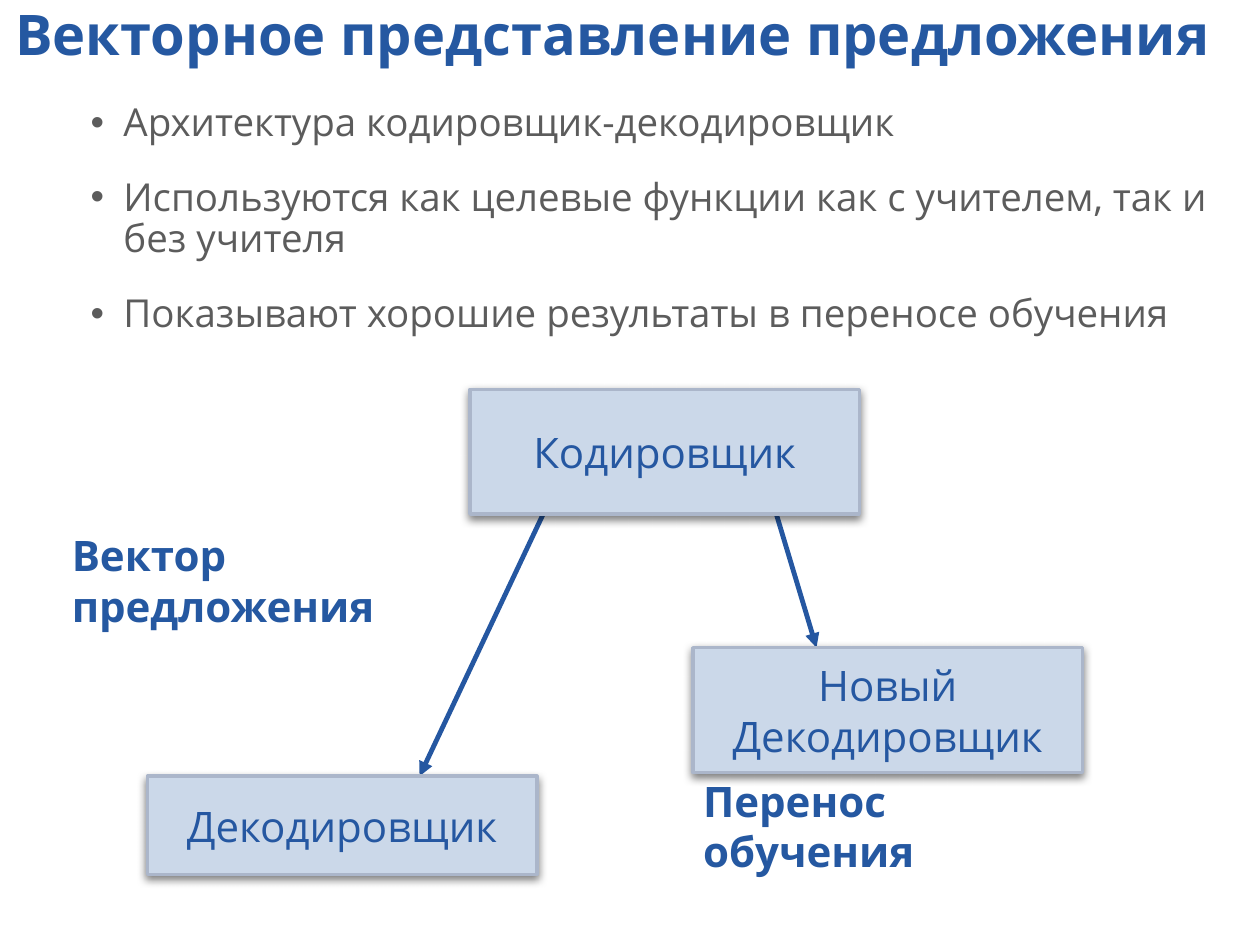
from lxml import etree
from pptx import Presentation
from pptx import util as u
from pptx.dml.color import RGBColor
from pptx.enum import shapes, text
from pptx.oxml.ns import qn

TITLE = "Векторное представление предложения"
BULLETS = [
    "Архитектура кодировщик-декодировщик",
    "Используются как целевые функции как с учителем, так и без учителя",
    "Показывают хорошие результаты в переносе обучения",
]
BLOCKS = [
    ("Кодировщик", 3.73, 3.09, 0.99),
    ("Декодировщик", 1.17, 6.16, 0.78),
    ("Новый Декодировщик", 5.5, 5.14, 0.99),
]
BLOCK_WIDTH = 3.09
ARROWS = [((4.33, 4.04), (3.33, 6.16)), ((6.08, 3.81), (6.48, 5.14))]
LABELS = [
    ("Вектор предложения", (0.54, 4.41, 3.43, 0.39)),
    ("Перенос обучения", (5.55, 6.36, 2.99, 0.39)),
]
THEME = {
    "font": "Open Sans",
    "title": "2558A1", "accent": "2557A1", "body": "5C5C5C",
    "fill": "CBD8E9", "border": "ABB6CA", "shadow": "000000",
    "title_size": 32, "body_size": 22, "block_size": 24,
}


def color(name):
    return RGBColor.from_string(THEME[name])


def add_xml(parent, tag, **attributes):
    return etree.SubElement(parent, qn(tag), attributes)


def set_frame(frame, inset, anchor):
    frame.word_wrap = True
    frame.auto_size = text.MSO_AUTO_SIZE.NONE
    frame.vertical_anchor = anchor
    frame.margin_left = frame.margin_right = u.Inches(inset)
    frame.margin_top = frame.margin_bottom = u.Inches(inset)


def format_text(frame, size, tone, bold=False, align=text.PP_ALIGN.LEFT):
    for paragraph in frame.paragraphs:
        paragraph.alignment = align
        for span in paragraph.runs:
            span.font.name = THEME["font"]
            span.font.size = u.Pt(THEME[size])
            span.font.bold = bold
            span.font.color.rgb = color(tone)


def add_arrow(page, start, end):
    points = [u.Inches(value) for value in start + end]
    arrow = page.shapes.add_connector(shapes.MSO_CONNECTOR.STRAIGHT, *points)
    arrow.line.color.rgb = color("accent")
    arrow.line.width = u.Pt(2.75)
    add_xml(arrow.line._get_or_add_ln(), "a:tailEnd", type="triangle")
    add_xml(arrow._element.spPr, "a:effectLst")


def add_title(page):
    title = page.shapes.title
    title.left, title.top = u.Inches(-0.01), u.Inches(0.01)
    title.width, title.height = u.Inches(9.98), u.Inches(0.6)
    frame = title.text_frame
    frame.text = TITLE
    set_frame(frame, 0.05, text.MSO_ANCHOR.TOP)
    paragraph = frame.paragraphs[0]
    paragraph.line_spacing = 0.9
    paragraph._p.get_or_add_pPr().set("indent", str(u.Inches(0.08)))
    format_text(frame, "title_size", "title", bold=True)


def add_bullets(page):
    box = page.shapes.add_textbox(*map(u.Inches, (0.67, 0.79, 9.19, 2.36)))
    frame = box.text_frame
    frame.text = "\n".join(BULLETS)
    set_frame(frame, 0.03, text.MSO_ANCHOR.TOP)
    for index, paragraph in enumerate(frame.paragraphs):
        properties = paragraph._p.get_or_add_pPr()
        properties.set("marL", str(u.Inches(0.28)))
        properties.set("indent", str(u.Inches(-0.26)))
        bullet_color = add_xml(properties, "a:buClr")
        add_xml(bullet_color, "a:srgbClr", val=THEME["body"])
        add_xml(properties, "a:buFont", typeface="Arial")
        add_xml(properties, "a:buChar", char="•")
        paragraph.line_spacing = 0.9
        if index:
            paragraph.space_before = u.Pt(19)
    format_text(frame, "body_size", "body")


def add_block(page, caption, left, top, height):
    place = map(u.Inches, (left, top, BLOCK_WIDTH, height))
    block = page.shapes.add_shape(shapes.MSO_SHAPE.RECTANGLE, *place)
    block.fill.solid()
    block.fill.fore_color.rgb = color("fill")
    block.line.color.rgb = color("border")
    block.line.width = u.Pt(2)
    block.shadow.inherit = False
    effects = block._element.spPr.find(qn("a:effectLst"))
    shadow = add_xml(effects, "a:outerShdw", blurRad=str(u.Pt(5)), dist=str(u.Pt(2)),
                     dir="5400000", rotWithShape="0")
    shade = add_xml(shadow, "a:srgbClr", val=THEME["shadow"])
    add_xml(shade, "a:alpha", val="50000")
    block.text_frame.text = caption
    set_frame(block.text_frame, 0.03, text.MSO_ANCHOR.MIDDLE)
    format_text(block.text_frame, "block_size", "accent", align=text.PP_ALIGN.CENTER)


def add_label(page, caption, place):
    frame = page.shapes.add_textbox(*map(u.Inches, place)).text_frame
    frame.text = caption
    set_frame(frame, 0.03, text.MSO_ANCHOR.MIDDLE)
    format_text(frame, "block_size", "title", bold=True)


def main():
    deck = Presentation()
    deck.slide_width, deck.slide_height = u.Inches(10), u.Inches(7.5)
    page = deck.slides.add_slide(deck.slide_layouts[5])
    for start, end in ARROWS:
        add_arrow(page, start, end)
    add_bullets(page)
    add_title(page)
    for block in BLOCKS:
        add_block(page, *block)
    for label in LABELS:
        add_label(page, *label)
    deck.save("out.pptx")


if __name__ == "__main__":
    main()
